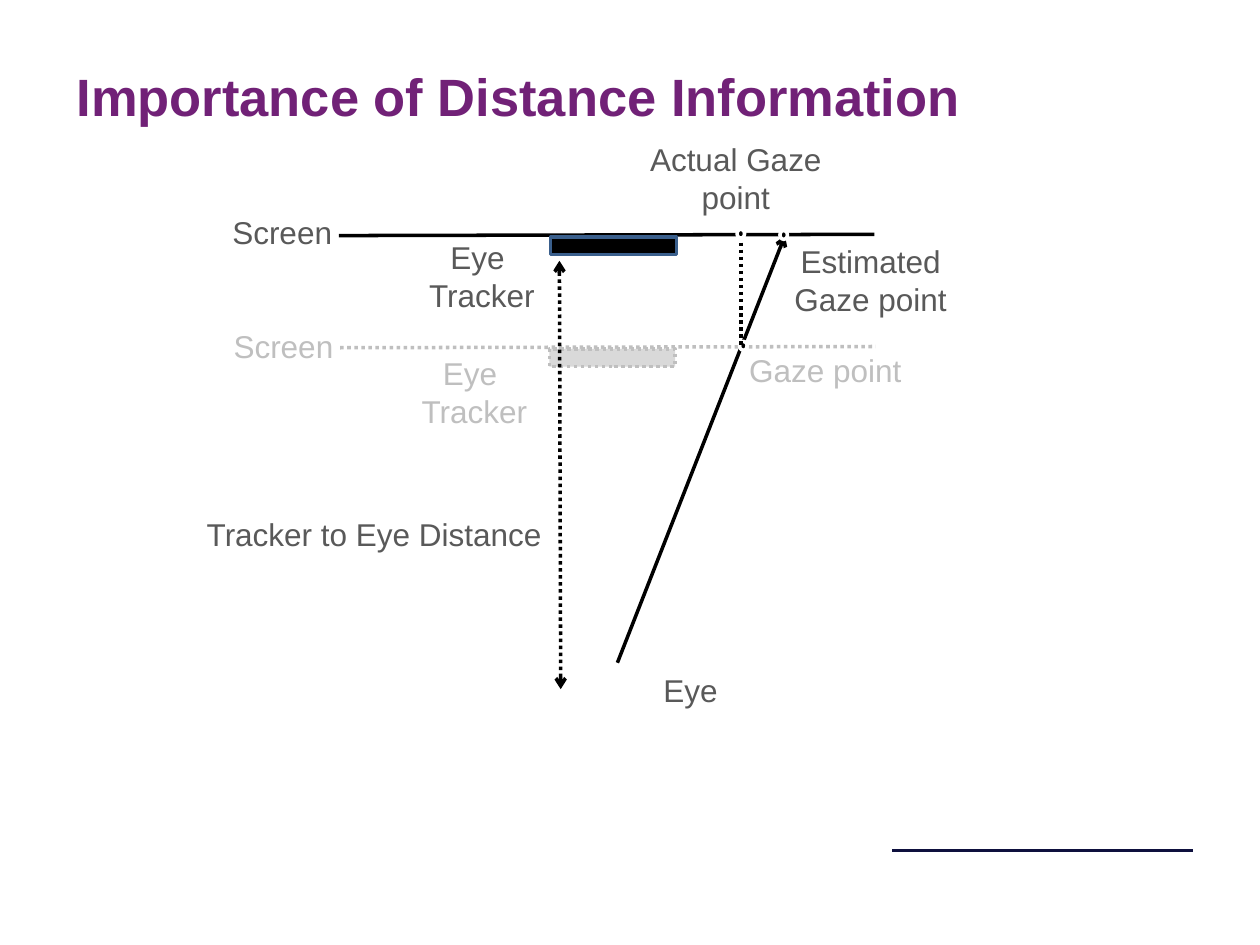
from dataclasses import dataclass

from lxml.etree import SubElement
from pptx import Presentation
from pptx.dml.color import RGBColor
from pptx.enum.dml import MSO_LINE_DASH_STYLE as Dash
from pptx.enum.shapes import MSO_CONNECTOR as Connector, MSO_SHAPE as Shape
from pptx.enum.text import MSO_ANCHOR as Anchor, PP_ALIGN as Align
from pptx.oxml.ns import qn
from pptx.util import Inches, Pt


@dataclass(frozen=True)
class Theme:
    font: str = "Arial"
    title_size: int = 30
    label_size: int = 18
    line_width: float = 2
    footer_width: float = 1.5
    title: str = "712177"
    label: str = "595959"
    muted: str = "BFBFBF"
    muted_fill: str = "D9D9D9"
    ink: str = "000000"
    tracker_edge: str = "3A5F8C"
    point_edge: str = "FFFFFF"
    footer: str = "0E103E"


class DiagramSlide:
    def __init__(self, slide, theme):
        self.shapes = slide.shapes
        self.theme = theme

    def style_line(self, line, color, dotted=False, width=None):
        line.color.rgb = RGBColor.from_string(color)
        line.width = Pt(width or self.theme.line_width)
        if dotted:
            line.dash_style = Dash.ROUND_DOT

    def text(self, box, *lines, color=None, size=None, bold=False, align=Align.CENTER):
        frame = self.shapes.add_textbox(*map(Inches, box)).text_frame
        frame.word_wrap = True
        frame.vertical_anchor = Anchor.TOP
        frame.text = "\n".join(lines)
        font_format = {
            "name": self.theme.font,
            "size": Pt(size or self.theme.label_size),
            "bold": bold,
        }
        for paragraph in frame.paragraphs:
            paragraph.alignment = align
            for run in paragraph.runs:
                for attribute, value in font_format.items():
                    setattr(run.font, attribute, value)
                run.font.color.rgb = RGBColor.from_string(color or self.theme.label)

    def line(self, start, end, color=None, dotted=False, width=None, arrows=()):
        """Draw a line; arrows may hold headEnd (start) and tailEnd (end)."""
        connector = self.shapes.add_connector(
            Connector.STRAIGHT, *map(Inches, (*start, *end)))
        self.style_line(connector.line, color or self.theme.ink, dotted, width)
        outline = connector.line._get_or_add_ln()
        for arrow in arrows:
            SubElement(outline, qn(f"a:{arrow}"), type="arrow")
        SubElement(connector._element.spPr, qn("a:effectLst"))

    def solid(self, kind, box, fill, edge, dotted=False):
        shape = self.shapes.add_shape(kind, *map(Inches, box))
        shape.shadow.inherit = False
        shape.fill.solid()
        shape.fill.fore_color.rgb = RGBColor.from_string(fill)
        self.style_line(shape.line, edge, dotted)

    def tracker(self, left, top, fill, edge, dotted=False):
        self.solid(Shape.RECTANGLE, (left, top, 1, 0.14), fill, edge, dotted)

    def point(self, left, top):
        self.solid(Shape.OVAL, (left, top, 0.06, 0.07),
                   self.theme.ink, self.theme.point_edge)


def main():
    theme = Theme()
    deck = Presentation()
    deck.slide_width, deck.slide_height = Inches(10), Inches(7.5)
    diagram = DiagramSlide(deck.slides.add_slide(deck.slide_layouts[6]), theme)

    diagram.line((7.08, 6.75), (9.47, 6.75), theme.footer, width=theme.footer_width)
    diagram.line((2.69, 1.87), (6.94, 1.86))
    diagram.text((0.51, 0.46, 8.95, 0.97), "Importance of Distance Information",
                 color=theme.title, size=theme.title_size, bold=True, align=Align.LEFT)
    diagram.line((2.7, 2.76), (6.95, 2.75), theme.muted, dotted=True)

    # Line of sight and tracker distance
    diagram.text((3.98, 5.28, 3, 0.4), "Eye")
    diagram.line((4.9, 5.26), (6.23, 1.87), arrows=("tailEnd",))
    diagram.tracker(4.36, 2.77, theme.muted_fill, theme.muted, dotted=True)
    diagram.line((4.44, 2.07), (4.45, 5.47), dotted=True, arrows=("headEnd", "tailEnd"))
    diagram.text((1.47, 4.04, 3, 0.4), "Tracker to Eye Distance")
    diagram.point(6.19, 1.83)

    # Assumed screen position
    diagram.text((0.75, 2.55, 3, 0.4), "Screen", color=theme.muted)
    diagram.text((2.38, 2.76, 2.77, 0.71), "Eye ", "Tracker", color=theme.muted)
    diagram.text((5.69, 2.74, 1.72, 0.4), "Gaze point", color=theme.muted)

    # Actual screen position
    diagram.tracker(4.37, 1.88, theme.ink, theme.tracker_edge)
    diagram.text((0.74, 1.64, 3, 0.4), "Screen")
    diagram.text((2.44, 1.84, 2.77, 0.71), "Eye ", "Tracker")
    diagram.text((6.05, 1.87, 1.72, 0.71), "Estimated Gaze point")
    diagram.point(5.87, 2.71)
    diagram.line((5.88, 1.87), (5.88, 2.74), dotted=True)
    diagram.point(5.85, 1.82)
    diagram.text((4.98, 1.06, 1.72, 0.71), "Actual Gaze point")

    deck.save("out.pptx")


if __name__ == "__main__":
    main()
